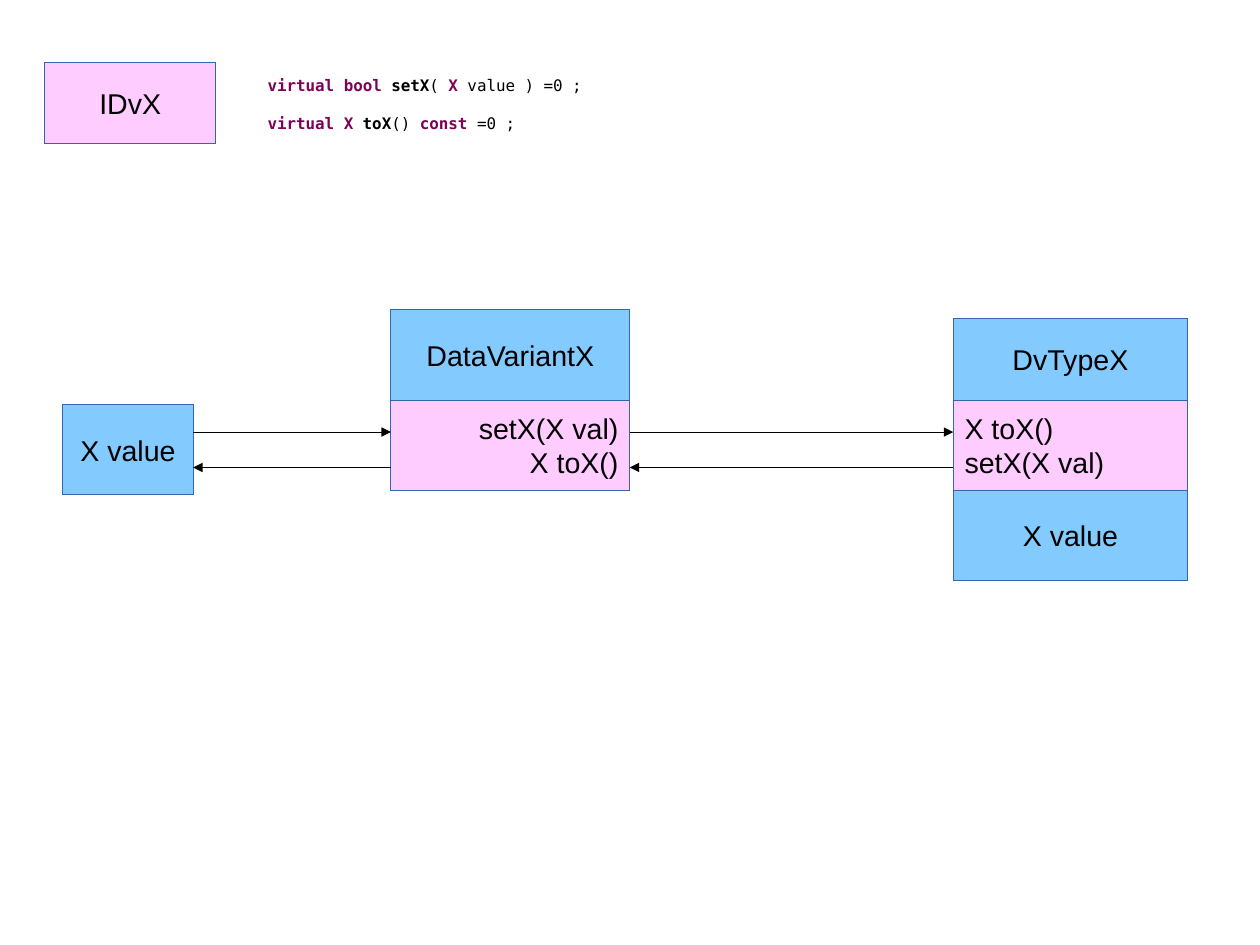
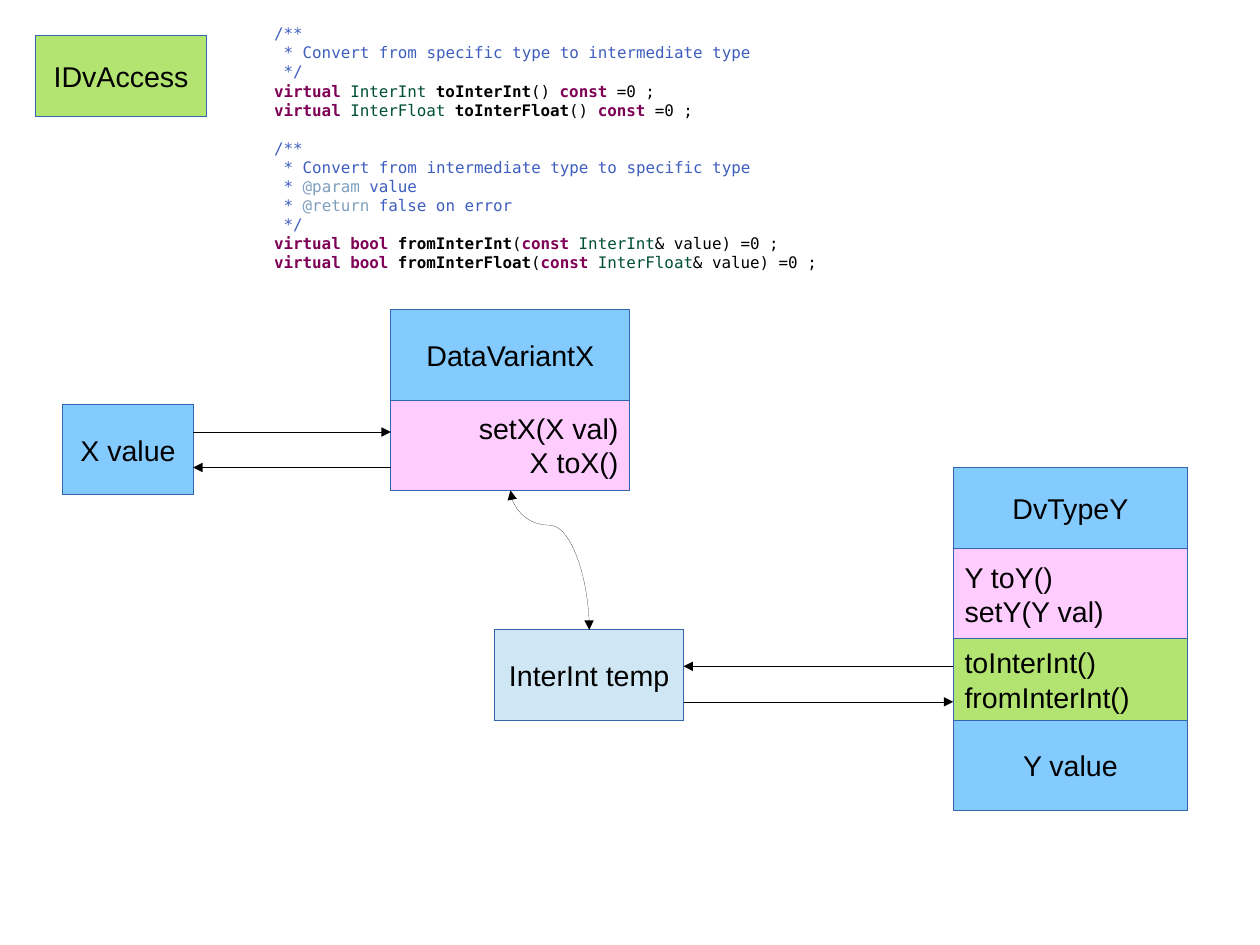
"""Build two class diagrams of data variant conversion."""
from lxml import etree
from pptx import Presentation
from pptx.dml.color import RGBColor
from pptx.enum.shapes import MSO_CONNECTOR, MSO_SHAPE
from pptx.enum.text import MSO_ANCHOR, PP_ALIGN
from pptx.oxml.ns import qn
from pptx.util import Cm, Inches, Pt

RECTANGLE = MSO_SHAPE.RECTANGLE
STRAIGHT, CURVE = MSO_CONNECTOR.STRAIGHT, MSO_CONNECTOR.CURVE
LEFT, CENTER, RIGHT = PP_ALIGN.LEFT, PP_ALIGN.CENTER, PP_ALIGN.RIGHT
MIDDLE, TOP = MSO_ANCHOR.MIDDLE, MSO_ANCHOR.TOP

COLORS = {
    "blue": "83CAFF", "pink": "FFCCFF", "green": "B3E471", "pale": "CFE7F5",
    "border": "3465AF", "black": "000000", "keyword": "7F0055",
    "type": "005032", "comment": "3F5FBF", "tag": "7F9FBF",
}
LABEL_FONT = {"name": "Arial", "size": Pt(18), "bold": False}
CODE_FONT = {"name": "DejaVu Sans Mono", "size": Pt(10), "bold": False}
CODE_STYLES = {
    "plain": ("black", False), "name": ("black", True),
    "keyword": ("keyword", True), "type": ("type", False),
    "comment": ("comment", False), "tag": ("tag", False),
}
BOX_FRAME = {"word_wrap": False, "vertical_anchor": MIDDLE}
CODE_FRAME = {"word_wrap": True, "vertical_anchor": TOP}

SHORT, TALL = 0.71, 0.79
ARROW_GAP = 0.31
VARIANT_LEFT, VARIANT_WIDTH = 3.42, 2.09
TYPE_LEFT, TYPE_WIDTH = 8.34, 2.05
VALUE_LEFT, VALUE_WIDTH = 0.55, 1.14
TEMP_LEFT, TEMP_TOP, TEMP_WIDTH = 4.33, 5.51, 1.65
VARIANT_TOP, UPPER_ARROW = 2.71, 3.78

SET_TO_CODE = [
    [[("plain", "    "), ("keyword", "virtual bool "), ("name", "setX"), ("plain", "( "),
      ("keyword", "X"), ("plain", " value ) =0 ;")]],
    [[("plain", "    "), ("keyword", "virtual X "), ("name", "toX"), ("plain", "() "),
      ("keyword", "const"), ("plain", " =0 ;")]],
]


def to_declaration(kind):
    """Return the code line that converts to an intermediate type."""
    return [("keyword", "virtual "), ("type", f"{kind} "), ("name", f"to{kind}"),
            ("plain", "() "), ("keyword", "const"), ("plain", " =0 ;")]


def from_declaration(kind):
    """Return the code line that converts from an intermediate type."""
    return [("keyword", "virtual bool "), ("name", f"from{kind}"), ("plain", "("),
            ("keyword", "const "), ("type", kind), ("plain", "& value) =0 ;")]


def tag_line(tag, text):
    """Return a comment line that opens with a documentation tag."""
    return [("comment", " * "), ("tag", tag), ("comment", text)]


INTER_KINDS = ["InterInt", "InterFloat"]
ACCESS_CODE = [
    [[("comment", "/**")],
     [("comment", " * Convert from specific type to intermediate type")],
     [("comment", " */")],
     *map(to_declaration, INTER_KINDS)],
    [[("comment", "/**")],
     [("comment", " * Convert from intermediate type to specific type")],
     tag_line("@param", " value"),
     tag_line("@return", " false on error"),
     [("comment", " */")],
     *map(from_declaration, INTER_KINDS)],
]


def rgb(name):
    """Return the named colour."""
    return RGBColor.from_string(COLORS[name])


def set_values(target, values):
    """Set each attribute of the target from a dict."""
    for name, value in values.items():
        setattr(target, name, value)


def set_hairline(shape, color):
    """Give the shape the thinnest line and return the line element."""
    shape.line.color.rgb = rgb(color)
    line = shape.line._get_or_add_ln()
    line.set("w", "0")
    return line


def add_box(slide, left, top, width, height, fill, lines, alignment=CENTER):
    """Add a bordered rectangle with one paragraph per line."""
    shape = slide.shapes.add_shape(RECTANGLE, *map(Inches, (left, top, width, height)))
    shape.shadow.inherit = False
    shape.fill.solid()
    shape.fill.fore_color.rgb = rgb(fill)
    set_hairline(shape, "border")
    frame = shape.text_frame
    set_values(frame, BOX_FRAME)
    frame.text = "\n".join(lines)
    for paragraph in frame.paragraphs:
        paragraph.alignment = alignment
        set_values(paragraph.font, LABEL_FONT)
        paragraph.font.color.rgb = rgb("black")


def add_stack(slide, left, top, width, parts):
    """Add touching boxes from top to bottom."""
    for height, *content in parts:
        add_box(slide, left, top, width, height, *content)
        top += height


def add_code(slide, left, top, width, height, blocks):
    """Add coloured code, its blocks set apart by one line."""
    shape = slide.shapes.add_textbox(*map(Inches, (left, top, width, height)))
    frame = shape.text_frame
    set_values(frame, CODE_FRAME)
    paragraph = None
    for block in blocks:
        for index, line in enumerate(block):
            first = paragraph is None
            paragraph = frame.paragraphs[0] if first else frame.add_paragraph()
            if index == 0 and not first:
                paragraph.space_before = Pt(12)
            for style, text in line:
                run = paragraph.add_run()
                run.text = text
                color, bold = CODE_STYLES[style]
                set_values(run.font, {**CODE_FONT, "bold": bold})
                run.font.color.rgb = rgb(color)


def add_arrow(slide, start, end, kind=STRAIGHT, ends=("tailEnd",)):
    """Add a hairline connector with triangle heads."""
    connector = slide.shapes.add_connector(kind, *map(Inches, (*start, *end)))
    line = set_hairline(connector, "black")
    for name in ends:
        etree.SubElement(line, qn(f"a:{name}"), type="triangle")
    etree.SubElement(connector._element.spPr, qn("a:effectLst"))
    return connector


def add_arrow_pair(slide, left, right, top, rightward_first=True):
    """Add two opposite level arrows, one below the other."""
    for y, rightward in ((top, rightward_first), (top + ARROW_GAP, not rightward_first)):
        start, end = (left, right) if rightward else (right, left)
        add_arrow(slide, (start, y), (end, y))


def add_vertical_curve(slide, start, end, bend):
    """Add a two-headed curve that leaves and arrives vertically."""
    middle_x, middle_y = (start[0] + end[0]) / 2, (start[1] + end[1]) / 2
    half_width, half_height = (end[1] - start[1]) / 2, (end[0] - start[0]) / 2
    connector = add_arrow(
        slide, (middle_x + half_width, middle_y - half_height),
        (middle_x - half_width, middle_y + half_height), CURVE, ("headEnd", "tailEnd"))
    properties = connector._element.spPr
    properties.find(qn("a:xfrm")).set("rot", str(270 * 60000))
    guides = properties.find(qn("a:prstGeom")).get_or_add_avLst()
    etree.SubElement(guides, qn("a:gd"), name="adj1", fmla=f"val {round(bend * 100000)}")


def add_variant(slide):
    """Add the value and variant boxes found on both slides."""
    add_stack(slide, VARIANT_LEFT, VARIANT_TOP, VARIANT_WIDTH, [
        (TALL, "blue", ["DataVariantX"]),
        (TALL, "pink", ["setX(X val)", "X toX()"], RIGHT),
    ])
    add_box(slide, VALUE_LEFT, 3.54, VALUE_WIDTH, TALL, "blue", ["X value"])
    add_arrow_pair(slide, VALUE_LEFT + VALUE_WIDTH, VARIANT_LEFT, UPPER_ARROW)


def add_direct_slide(presentation):
    """Add the slide on conversion between equal types."""
    slide = presentation.slides.add_slide(presentation.slide_layouts[6])
    add_variant(slide)
    add_box(slide, 0.39, 0.55, 1.5, SHORT, "pink", ["IDvX"])
    add_code(slide, 1.91, 0.61, 3.6, 0.8, SET_TO_CODE)
    add_stack(slide, TYPE_LEFT, 2.79, TYPE_WIDTH, [
        (SHORT, "blue", ["DvTypeX"]),
        (TALL, "pink", ["X toX()", "setX(X val)"], LEFT),
        (TALL, "blue", ["X value"]),
    ])
    add_arrow_pair(slide, VARIANT_LEFT + VARIANT_WIDTH, TYPE_LEFT, UPPER_ARROW)


def add_intermediate_slide(presentation):
    """Add the slide on conversion through an intermediate type."""
    slide = presentation.slides.add_slide(presentation.slide_layouts[6])
    add_variant(slide)
    add_box(slide, 0.31, 0.31, 1.5, SHORT, "green", ["IDvAccess"])
    add_code(slide, 2.3, 0.16, 4.95, 2.32, ACCESS_CODE)
    add_box(slide, TEMP_LEFT, TEMP_TOP, TEMP_WIDTH, TALL, "pale", ["InterInt temp"])
    add_stack(slide, TYPE_LEFT, 4.09, TYPE_WIDTH, [
        (SHORT, "blue", ["DvTypeY"]),
        (TALL, "pink", ["Y toY()", "setY(Y val)"], LEFT),
        (SHORT, "green", ["toInterInt()", "fromInterInt()"], LEFT),
        (TALL, "blue", ["Y value"]),
    ])
    add_arrow_pair(slide, TEMP_LEFT + TEMP_WIDTH, TYPE_LEFT, 5.83, rightward_first=False)
    add_vertical_curve(
        slide, (VARIANT_LEFT + VARIANT_WIDTH / 2, VARIANT_TOP + 2 * TALL),
        (TEMP_LEFT + TEMP_WIDTH / 2, TEMP_TOP), 0.25)


def main():
    """Build and save the presentation."""
    presentation = Presentation()
    presentation.slide_width = Cm(28)
    presentation.slide_height = Cm(21)
    add_direct_slide(presentation)
    add_intermediate_slide(presentation)
    presentation.save("out.pptx")


if __name__ == "__main__":
    main()
